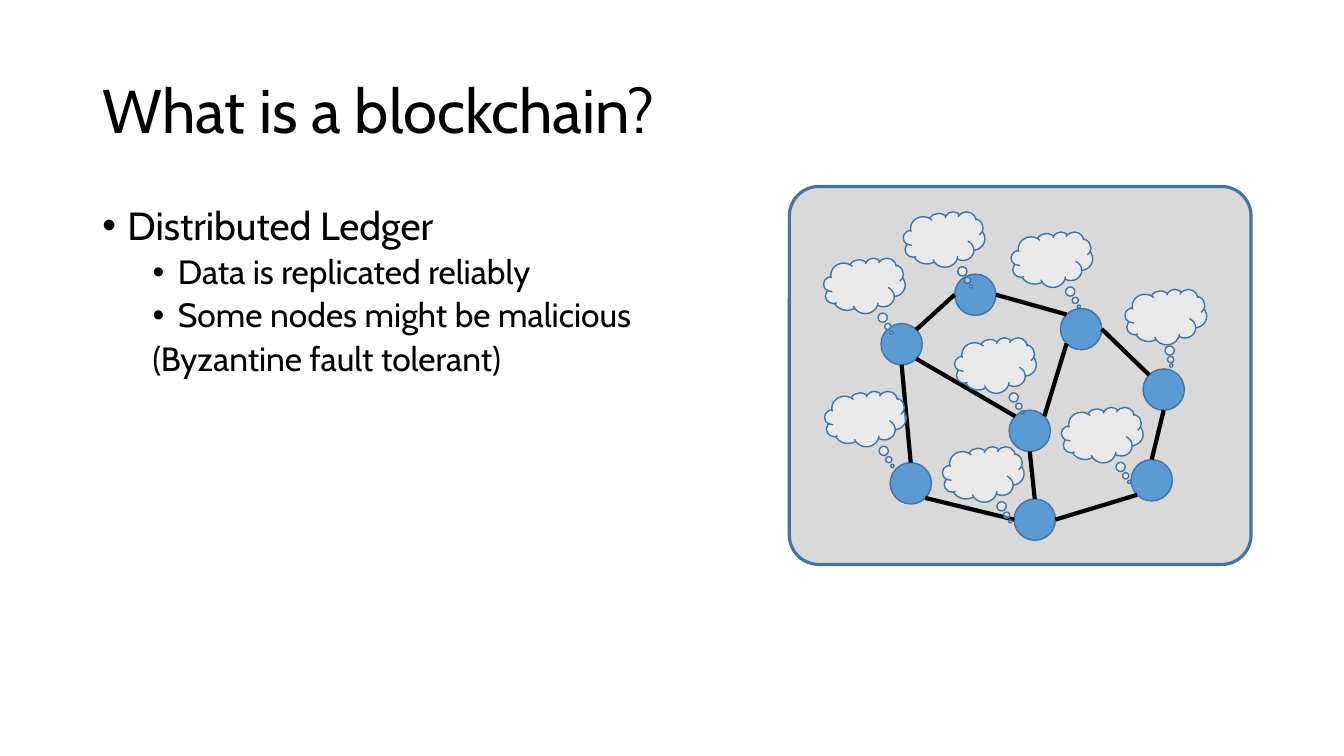
from math import cos, radians, sin

from lxml import etree
from pptx import Presentation
from pptx.dml.color import RGBColor
from pptx.enum.shapes import MSO_CONNECTOR, MSO_SHAPE
from pptx.enum.text import MSO_ANCHOR
from pptx.oxml.ns import qn
from pptx.util import Pt

STRAIGHT = MSO_CONNECTOR.STRAIGHT
ROUNDED = MSO_SHAPE.ROUNDED_RECTANGLE
OVAL = MSO_SHAPE.OVAL
CLOUD = MSO_SHAPE.CLOUD_CALLOUT
TOP, MIDDLE = MSO_ANCHOR.TOP, MSO_ANCHOR.MIDDLE

FONT = "Cabin"
BLACK, OUTLINE, PANEL = "000000", "43739E", "D9D9D9"
NODE_BLUE, CLOUD_WHITE = "5B9BD5", "FAFAFA"

NODE_SIZE = 29.5
CLOUD_WIDTH, CLOUD_HEIGHT = 58.3, 39.6
NODES = {
    "west": (65.5, 97.9),
    "centre": (157, 159.8),
    "southwest": (72, 197.3),
    "south": (160.6, 223.2),
    "east": (252.7, 130.3),
    "southeast": (244.1, 195.1),
    "northeast": (193.7, 87.1),
    "north": (118.1, 62.6),
}
ANGLES = {"E": 0, "SE": 45, "S": 90, "SW": 135, "W": 180, "NW": 225, "N": 270, "NE": 315}
LINKS = [
    ("north", "W", "west", "NE"),
    ("west", "S", "southwest", "N"),
    ("centre", "NW", "west", "SE"),
    ("northeast", "NW", "north", "E"),
    ("northeast", "E", "east", "NW"),
    ("south", "N", "centre", "S"),
    ("centre", "NE", "northeast", "SW"),
    ("southeast", "N", "east", "S"),
    ("south", "E", "southeast", "SW"),
    ("southwest", "SE", "south", "W"),
]
TAIL, STEEP_TAIL = (0.33, 0.848), (0.067, 0.876)
CLOUDS = [
    (81.4, 18, TAIL),
    (158.4, 32.4, TAIL),
    (239.8, 73.4, STEEP_TAIL),
    (24.5, 51.1, TAIL),
    (25.2, 146.2, TAIL),
    (118.1, 108, TAIL),
    (109.4, 185.8, TAIL),
    (194.4, 157.7, TAIL),
]
POINTS = [
    ("Distributed Ledger", 28, 18, -18, 0),
    ("Data is replicated reliably", 24, 54, -18, 5),
    ("Some nodes might be malicious", 24, 54, -18, 5),
    ("(Byzantine fault tolerant)", 24, 36, 0, 5),
]


def colour(value):
    """Turn a hex string into a colour."""
    return RGBColor.from_string(value)


def add_text_box(page, box, anchor):
    """Add an empty wrapping text box and return its frame."""
    frame = page.shapes.add_textbox(*map(Pt, box)).text_frame
    frame.word_wrap = True
    frame.vertical_anchor = anchor
    return frame


def add_span(para, text, size):
    """Add one run to a paragraph."""
    para.line_spacing = 0.9
    span = para.add_run()
    span.text = text
    span.font.name = FONT
    span.font.size = Pt(size)
    span.font.color.rgb = colour(BLACK)


def add_title(page, box):
    """Place the slide title."""
    add_span(add_text_box(page, box, MIDDLE).paragraphs[0], "What is a blockchain?", 44)


def add_points(page, box):
    """Place the bulleted points with hanging indents."""
    frame = add_text_box(page, box, TOP)
    for index, (text, size, margin, indent, before) in enumerate(POINTS):
        para = frame.add_paragraph() if index else frame.paragraphs[0]
        para.level = 1 if index else 0
        properties = para._p.get_or_add_pPr()
        properties.set("marL", str(Pt(margin)))
        properties.set("indent", str(Pt(indent)))
        if indent:
            etree.SubElement(properties, qn("a:buFont")).set("typeface", "Arial")
            etree.SubElement(properties, qn("a:buChar")).set("char", "•")
        para.space_before = Pt(before)
        add_span(para, text, size)


def add_outlined(group, kind, box, fill, width=1, adjustments=()):
    """Add a filled shape with the shared outline colour."""
    shape = group.shapes.add_shape(kind, *map(Pt, box))
    shape.shadow.inherit = False
    shape.fill.solid()
    shape.fill.fore_color.rgb = colour(fill)
    shape.line.color.rgb = colour(OUTLINE)
    shape.line.width = Pt(width)
    for index, value in enumerate(adjustments):
        shape.adjustments[index] = value
    return shape


def node_edge(left, top, node, side):
    """Find the point on a node's rim facing the given side."""
    x, y = NODES[node]
    radius, angle = NODE_SIZE / 2, radians(ANGLES[side])
    return (Pt(left + x + radius * (1 + cos(angle))),
            Pt(top + y + radius * (1 + sin(angle))))


def add_network(page, box):
    """Draw the panel of linked nodes and their thought clouds."""
    left, top = box[:2]
    group = page.shapes.add_group_shape()
    add_outlined(group, ROUNDED, box, PANEL, 2.25, (0.078,))
    for x, y in NODES.values():
        add_outlined(group, OVAL, (left + x, top + y, NODE_SIZE, NODE_SIZE), NODE_BLUE)
    for start, start_side, end, end_side in LINKS:
        link = group.shapes.add_connector(
            STRAIGHT,
            *node_edge(left, top, start, start_side),
            *node_edge(left, top, end, end_side))
        link.line.color.rgb = colour(BLACK)
        link.line.width = Pt(3)
        etree.SubElement(link._element.spPr, qn("a:effectLst"))
    for x, y, tail in CLOUDS:
        cloud = add_outlined(group, CLOUD, (left + x, top + y, CLOUD_WIDTH, CLOUD_HEIGHT),
                             CLOUD_WHITE, adjustments=tail)
        tint = cloud._element.spPr.find(qn("a:solidFill"))[0]
        etree.SubElement(tint, qn("a:alpha")).set("val", "50000")


def main():
    """Build the slide and save the deck."""
    deck = Presentation()
    deck.slide_width, deck.slide_height = Pt(960), Pt(540)
    page = deck.slides.add_slide(deck.slide_layouts[6])
    add_title(page, (66, 28.75, 828, 104.4))
    add_points(page, (66, 143.75, 828, 342.6))
    add_network(page, (563.8, 133.2, 329.8, 270))
    deck.save("out.pptx")


if __name__ == "__main__":
    main()
